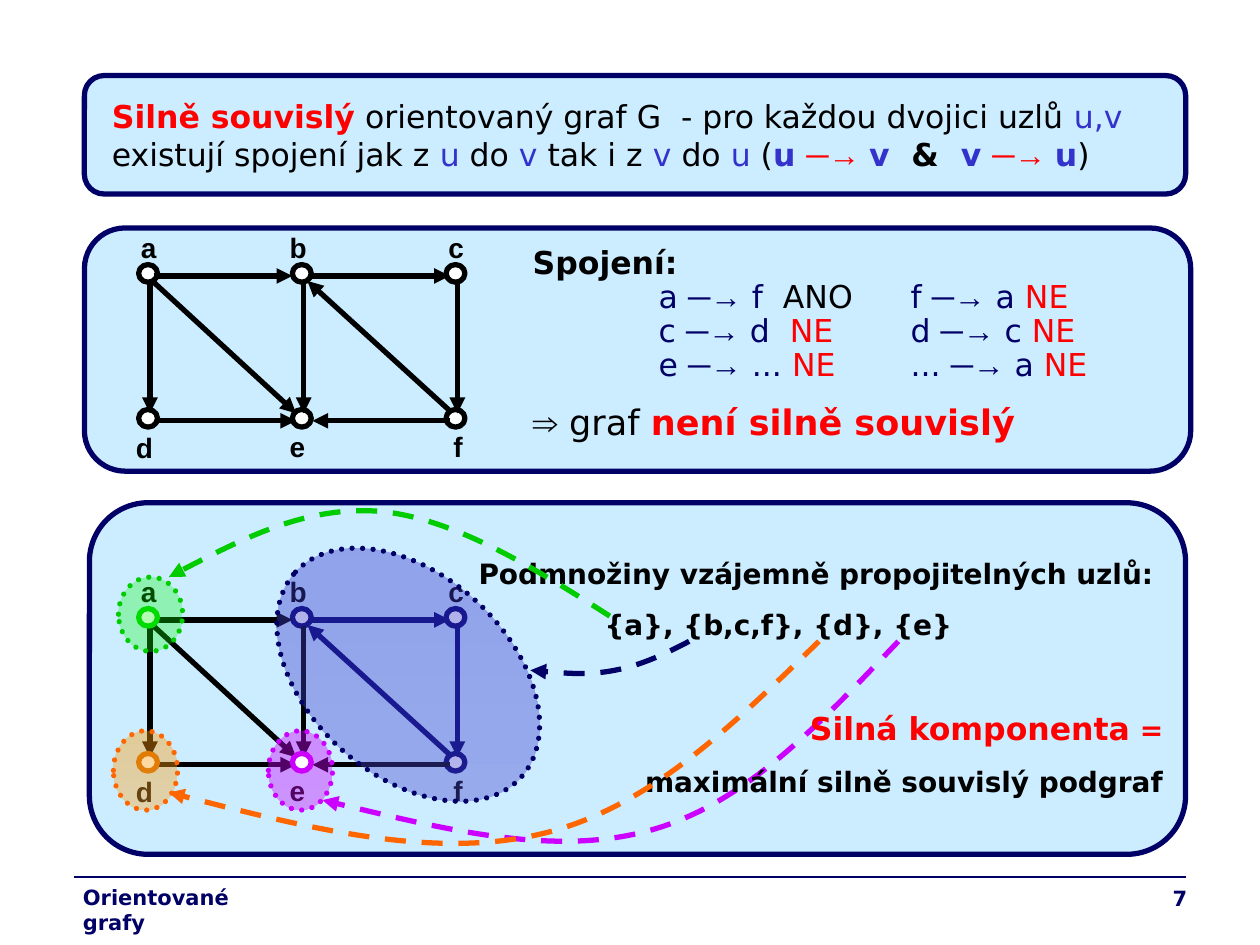
from lxml import etree
from pptx import Presentation
from pptx.dml.color import RGBColor
from pptx.enum.dml import MSO_LINE
from pptx.enum.shapes import MSO_CONNECTOR, MSO_SHAPE
from pptx.enum.text import PP_ALIGN
from pptx.oxml.ns import qn
from pptx.util import Inches, Pt

DASH, DOT = MSO_LINE.DASH, MSO_LINE.ROUND_DOT
ELLIPSE, ROUND_RECT = MSO_SHAPE.OVAL, MSO_SHAPE.ROUNDED_RECTANGLE
STRAIGHT, RIGHT = MSO_CONNECTOR.STRAIGHT, PP_ALIGN.RIGHT

NAVY = RGBColor(0x00, 0x00, 0x66)
PALE = RGBColor(0xCC, 0xEC, 0xFF)
BLACK = RGBColor(0x00, 0x00, 0x00)
WHITE = RGBColor(0xFF, 0xFF, 0xFF)
RED = RGBColor(0xFF, 0x00, 0x00)
BLUE = RGBColor(0x33, 0x33, 0xCC)
BLUE_END = RGBColor(0x4B, 0x4B, 0xD1)
VIOLET = RGBColor(0xCC, 0x00, 0xFF)
VIOLET_END = RGBColor(0xCE, 0x0E, 0xFE)
GREEN = RGBColor(0x00, 0xCC, 0x00)
LIME = RGBColor(0x00, 0xFF, 0x00)
LIME_END = RGBColor(0x0E, 0xFE, 0x0E)
ORANGE = RGBColor(0xFF, 0x66, 0x00)
AMBER = RGBColor(0xFF, 0x99, 0x00)
AMBER_END = RGBColor(0xFE, 0xAA, 0x2D)
BROWN = RGBColor(0xCC, 0x66, 0x00)

FONT, ARIAL = "DejaVu Sans", "Arial"
ARROW = "─→"

# Graph geometry in inches, relative to the corner of node a
COL, ROW = 1.22, 1.15
NODES = {n: (i % 3 * COL, i // 3 * ROW) for i, n in enumerate("abcdef")}
LABELS = {"a": (-0.08, -0.32), "b": (1.1, -0.32), "c": (2.36, -0.32),
          "d": (-0.12, 1.27), "e": (1.1, 1.26), "f": (2.4, 1.26)}
EDGES = {"ab": (0.12, 0.09, 1.22, 0.09), "de": (0.15, 1.24, 1.25, 1.24),
         "bc": (1.38, 0.09, 2.47, 0.09), "cf": (2.53, 0.14, 2.53, 1.18),
         "be": (1.31, 0.14, 1.31, 1.18), "ad": (0.09, 0.14, 0.09, 1.18),
         "fe": (2.47, 1.24, 1.38, 1.24), "ae": (0.12, 0.14, 1.25, 1.18),
         "fb": (2.47, 1.16, 1.34, 0.13)}


def add_runs(p, runs, size):
    """Each run is (text, colour[, bold[, size]]); arrow characters go in Arial."""
    for text, color, *rest in runs:
        r = p.add_run()
        r.text = text
        r.font.name = ARIAL if text.strip() in (ARROW, "⇒") else FONT
        r.font.size = Pt(rest[1] if len(rest) > 1 else size)
        r.font.bold = bool(rest and rest[0])
        r.font.color.rgb = color


def add_text(slide, box, paragraphs, size):
    """Each paragraph is (runs, space before, line spacing, alignment)."""
    tf = slide.shapes.add_textbox(*map(Inches, box)).text_frame
    tf.word_wrap = True
    for i, (runs, before, spacing, align) in enumerate(paragraphs):
        p = tf.paragraphs[0] if i == 0 else tf.add_paragraph()
        if any("\t" in run[0] for run in runs):
            tabs = etree.SubElement(p._p.get_or_add_pPr(), qn("a:tabLst"))
            for n in range(1, 8):
                etree.SubElement(tabs, qn("a:tab"), pos=str(Inches(n)), algn="l")
        p.space_before, p.line_spacing, p.alignment = Pt(before), spacing, align
        add_runs(p, runs, size)
    return tf


def add_shape(slide, kind, box, fill, line):
    sp = slide.shapes.add_shape(kind, *map(Inches, box))
    sp.shadow.inherit = False
    sp.fill.solid()
    sp.fill.fore_color.rgb = fill
    sp.line.color.rgb = line
    sp.line.width = Pt(3)
    return sp


def add_panel(slide, box):
    add_shape(slide, ROUND_RECT, box, PALE, NAVY).adjustments[0] = 0.167


def add_arrowhead(sp):
    etree.SubElement(sp.element.spPr.find(qn("a:ln")), qn("a:tailEnd"), type="triangle")


def add_line(slide, ends, color, width):
    line = slide.shapes.add_connector(STRAIGHT, *map(Inches, ends))
    line.line.color.rgb = color
    line.line.width = Pt(width)
    etree.SubElement(line.element.spPr, qn("a:effectLst"))
    return line


def add_nodes(slide, left, top, colors):
    for name, color in colors.items():
        x, y = NODES[name]
        add_shape(slide, ELLIPSE, (left + x, top + y, 0.15, 0.14), WHITE, color)


def add_edges(slide, left, top, colors):
    """Edges inside one component take its colour, the others are black."""
    for (start, end), (x1, y1, x2, y2) in EDGES.items():
        color = colors[start] if colors[start] == colors[end] else BLACK
        add_arrowhead(add_line(slide, (left + x1, top + y1, left + x2, top + y2), color, 3))


def add_labels(slide, left, top):
    for name, (x, y) in LABELS.items():
        tf = add_text(slide, (left + x, top + y, 0.35, 0.37),
                      [([(name, BLACK, True)], 0, 1.0, None)], 16)
        tf.paragraphs[0].runs[0].font.name = ARIAL


def add_component(slide, box, color, stops, opacity, angle=90, rotation=0):
    """Translucent ellipse with a dotted outline around a strong component."""
    sp = add_shape(slide, ELLIPSE, box, stops[0], color)
    sp.rotation = rotation
    sp.fill.gradient()
    sp.fill.gradient_angle = 360 - angle
    for stop, stop_color in zip(sp.fill.gradient_stops, stops):
        stop.color.rgb = stop_color
    for clr in sp.element.spPr.find(qn("a:gradFill")).iter(qn("a:srgbClr")):
        etree.SubElement(clr, qn("a:alpha"), val=str(opacity * 1000))
    sp.line.dash_style = DOT
    sp.element.spPr.find(qn("a:ln")).set("cap", "rnd")


def add_curve(slide, points, color):
    """Dashed arrow through Bézier points: a start, then triples."""
    start, *rest = [(Inches(x), Inches(y)) for x, y in points]
    builder = slide.shapes.build_freeform(*start)
    builder.add_line_segments(rest, close=False)
    sp = builder.convert_to_shape()
    segments = list(sp.element.iter(qn("a:lnTo")))
    for i in range(0, len(segments), 3):
        first, *others = segments[i:i + 3]
        curve = etree.Element(qn("a:cubicBezTo"))
        first.addprevious(curve)
        for segment in (first, *others):
            curve.append(segment[0])
            segment.getparent().remove(segment)
    sp.shadow.inherit = False
    sp.fill.background()
    sp.line.color.rgb = color
    sp.line.width = Pt(3)
    sp.line.dash_style = DASH
    add_arrowhead(sp)


def add_definition(slide, left, top, width, height):
    add_panel(slide, (left, top, width, height))
    u, v, arrow = ("u", BLUE), ("v", BLUE), (ARROW + " ", RED, True)
    runs = [("Silně souvislý", RED, True),
            (" orientovaný graf G  - pro každou dvojici uzlů ", BLACK), ("u,v", BLUE),
            (" existují spojení jak z ", BLACK), u, (" do ", BLACK), v,
            (" tak i z ", BLACK), v, (" do ", BLACK), u, (" (", BLACK),
            ("u ", BLUE, True), arrow, ("v  ", BLUE, True), ("&  ", BLACK, True),
            ("v ", BLUE, True), arrow, ("u", BLUE, True), (")", BLACK)]
    add_text(slide, (left + 0.12, top + 0.12, width - 0.28, 0.7), [(runs, 0, 1.0, None)], 18)


def add_example(slide, left, top, width, height):
    add_panel(slide, (left, top, width, height))
    paragraphs = [([("Spojení:", BLACK, True)], 0, 1.0, None)]
    for a, b, answer, color, c, d in (("a", "f  ", "ANO", BLACK, "f", "a"),
                                      ("c", "d  ", "NE", RED, "d", "c"),
                                      ("e", "... ", "NE", RED, "...", "a")):
        runs = [(f"\t{a} ", NAVY), (ARROW, NAVY), (f" {b}", NAVY), (f"{answer}\t", color),
                (f"{c} ", NAVY), (ARROW, NAVY), (f" {d} ", NAVY), ("NE", RED)]
        paragraphs.append((runs, 0, 0.9, None))
    paragraphs.append(([("⇒", BLACK, False, 20), (" graf ", BLACK, False, 20),
                        ("není silně souvislý", RED, True, 20)], 10, 1.0, None))
    add_text(slide, (left + 3.46, top + 0.07, 5.43, 1.69), paragraphs, 18)
    graph = left + 0.43, top + 0.29
    colors = dict.fromkeys(NODES, BLACK)
    add_nodes(slide, *graph, colors)
    add_edges(slide, *graph, colors)
    add_labels(slide, *graph)


def add_components(slide, left, top, width, height):
    add_panel(slide, (left, top, width, height))
    graph = left + 0.39, top + 0.84
    single = {"a": GREEN, "d": BROWN, "e": VIOLET}
    shared = dict.fromkeys("bcf", NAVY)

    def place(x, y, w, h):
        return left + x, top + y, w, h

    def curve(color, *points):
        add_curve(slide, [(left + x, top + y) for x, y in points], color)

    add_nodes(slide, *graph, shared)
    add_edges(slide, *graph, single | shared)
    add_labels(slide, *graph)
    add_component(slide, place(1.32, 0.57, 2.42, 1.59), NAVY, (BLUE, BLUE_END), 40, 48, 42.3)
    curve(NAVY, (4.76, 1.1), (4.57, 1.2), (4.38, 1.29), (4.17, 1.33),
          (3.96, 1.37), (3.73, 1.35), (3.5, 1.33))
    add_component(slide, place(1.42, 1.81, 0.51, 0.63), VIOLET, (VIOLET, VIOLET_END), 40)
    curve(VIOLET, (6.42, 1.1), (5.81, 1.74), (5.21, 2.39), (4.45, 2.6),
          (3.69, 2.81), (2.77, 2.58), (1.85, 2.36))
    add_nodes(slide, *graph, single)
    add_text(slide, place(2.99, 0.38, 5.63, 2.02), [
        ([("Podmnožiny vzájemně propojitelných uzlů:", BLACK, True)], 0, 1.0, None),
        ([("\t{a}, {b,c,f}, {d}, {e}", BLACK, True)], 10, 1.0, None),
        ([("Silná komponenta", RED, True, 18), (" ", BLACK, True), ("=", RED, True)],
         38.6, 1.0, RIGHT),
        ([("maximální silně souvislý podgraf", BLACK, True)], 10, 1.0, RIGHT)], 16)
    curve(GREEN, (4.13, 0.9), (3.52, 0.51), (2.9, 0.13), (2.32, 0.07),
          (1.74, 0.02), (1.18, 0.3), (0.63, 0.59))
    add_component(slide, place(0.23, 0.59, 0.51, 0.59), GREEN, (LIME, LIME_END), 30)
    curve(ORANGE, (5.79, 1.1), (5.11, 1.76), (4.44, 2.43), (3.58, 2.63),
          (2.72, 2.83), (1.68, 2.57), (0.63, 2.3))
    add_component(slide, place(0.19, 1.81, 0.51, 0.63), ORANGE, (AMBER, AMBER_END), 40)


def add_footer(slide, left, top, width):
    add_line(slide, (left, top, left + width, top), NAVY, 0.75)
    add_text(slide, (left - 0.03, top + 0.01, 1.73, 0.3),
             [([("Orientované grafy", NAVY, True)], 0, 1.0, None)], 12)
    add_text(slide, (left + width - 1.97, top + 0.02, 2.08, 0.36),
             [([("7", NAVY, True)], 0, 1.0, RIGHT)], 12)


def main():
    prs = Presentation()
    prs.slide_width, prs.slide_height = Inches(10), Inches(7.5)
    slide = prs.slides.add_slide(prs.slide_layouts[6])
    add_footer(slide, 0.59, 6.96, 8.82)
    add_definition(slide, 0.67, 0.6, 8.74, 0.94)
    add_example(slide, 0.67, 1.81, 8.78, 1.93)
    add_components(slide, 0.71, 3.99, 8.7, 2.79)
    prs.save("out.pptx")


if __name__ == "__main__":
    main()
